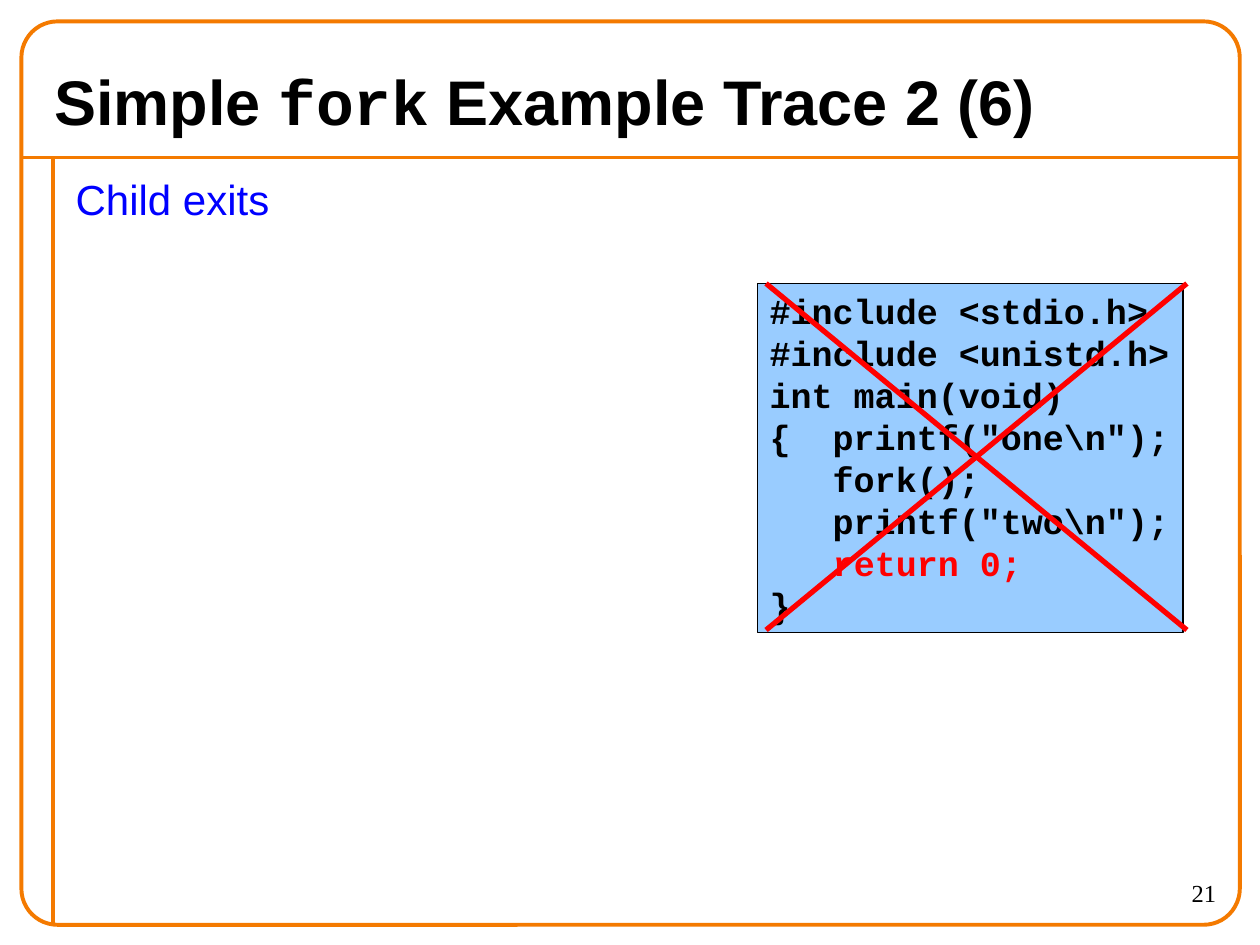
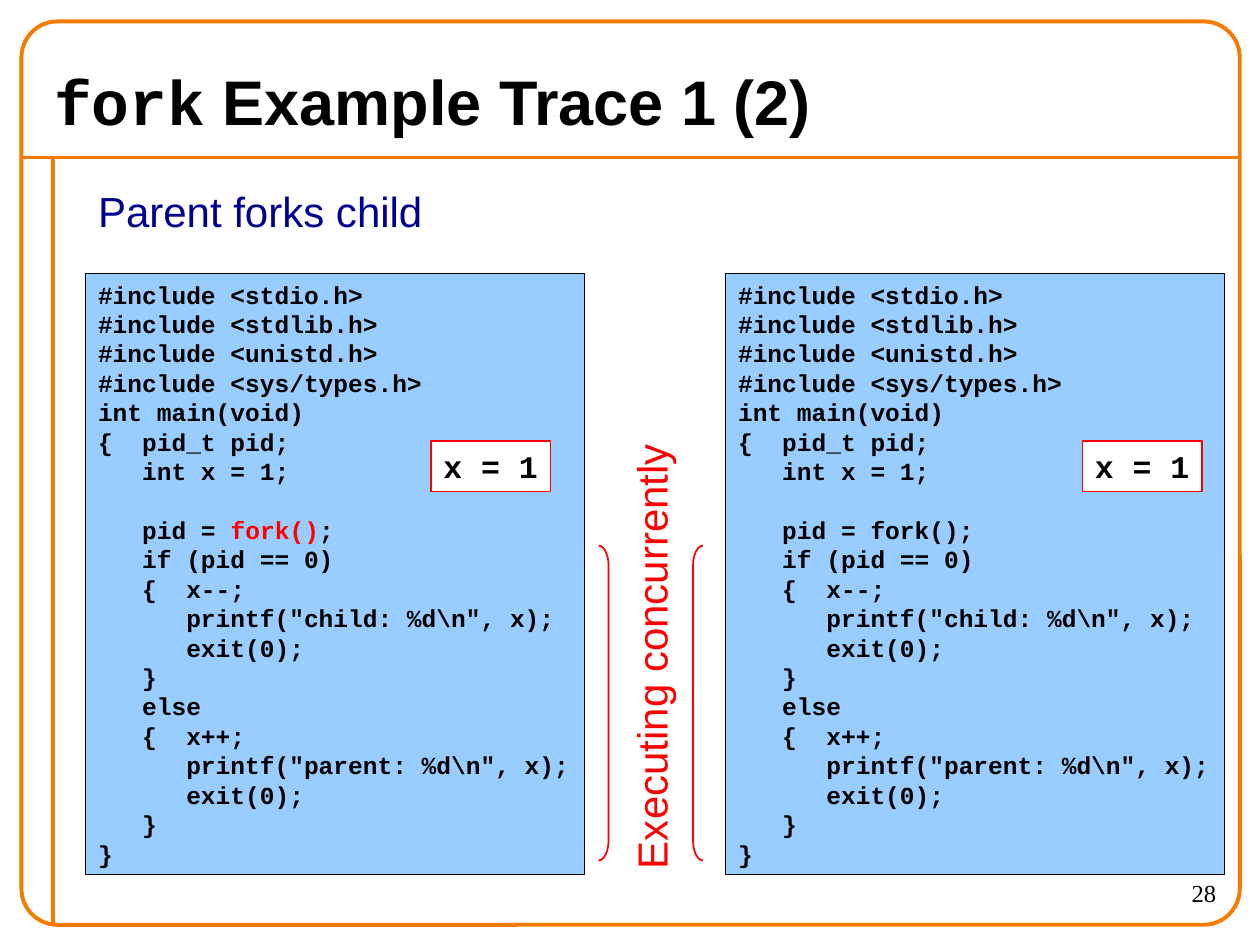
from lxml.etree import SubElement
from pptx import Presentation
from pptx.dml.color import RGBColor
from pptx.enum.shapes import MSO_CONNECTOR, MSO_SHAPE
from pptx.enum.text import MSO_ANCHOR, MSO_AUTO_SIZE, PP_ALIGN
from pptx.oxml.ns import qn
from pptx.util import Pt

PX = 9144
BLACK = RGBColor(0, 0, 0)
WHITE = RGBColor(255, 255, 255)
RED = RGBColor(255, 0, 0)
BLUE = RGBColor(0, 0, 255)
NAVY = RGBColor(0, 0, 0x90)
SKY = RGBColor(0x99, 0xCC, 0xFF)
ORANGE = RGBColor(0xF4, 0x7A, 0)
SANS, MONO, SERIF = "Arial", "Courier New", "Times New Roman"

SHORT = r'''#include <stdio.h>
#include <unistd.h>
int main(void)
{  printf("one\n");
   fork();
   printf("two\n");
   return 0;
}'''

LONG = r'''#include <stdio.h>
#include <stdlib.h>
#include <unistd.h>
#include <sys/types.h>
int main(void)
{  pid_t pid;
   int x = 1;

   pid = fork();
   if (pid == 0)
   {  x--;
      printf("child: %d\n", x);
      exit(0);
   }
   else
   {  x++;
      printf("parent: %d\n", x);
      exit(0);
   }
}'''

CROSS = [(608, 225, 942, 500), (942, 225, 608, 500)]
PANES = [(68, "fork()", 342), (576, None, 859)]
BRACKETS = [(MSO_SHAPE.LEFT_BRACKET, 550), (MSO_SHAPE.RIGHT_BRACKET, 475)]


def style(size, name=SANS, rgb=BLACK, bold=False):
    return {"size": Pt(size), "name": name, "rgb": rgb, "bold": bold}


def dress(font, fmt):
    for key, val in fmt.items():
        setattr(font.color if key == "rgb" else font, key, val)


def write(frame, text, fmt, hot=None, accent=None, align=PP_ALIGN.LEFT):
    for num, line in enumerate(text.split("\n")):
        para = frame.add_paragraph() if num else frame.paragraphs[0]
        para.alignment = align
        parts = line.partition(hot) if hot else (line,)
        for part in filter(None, parts):
            run = para.add_run()
            run.text = part
            dress(run.font, {**fmt, **accent} if part == hot else fmt)
        if not line:
            end = SubElement(para._p, qn("a:endParaRPr"))
            end.set("sz", str(int(fmt["size"].pt * 100)))


def place(shape, *box):
    for key, val in zip(("left", "top", "width", "height"), box):
        setattr(shape, key, val * PX)


def stroke(shape, rgb, width):
    shape.line.color.rgb = rgb
    shape.line.width = Pt(width)


def draw_line(slide, ends, rgb, width):
    line = slide.shapes.add_connector(
        MSO_CONNECTOR.STRAIGHT, *(n * PX for n in ends))
    stroke(line, rgb, width)
    SubElement(line.element.spPr, qn("a:effectLst"))
    return line


def draw_shape(slide, kind, box, rgb, width, fill=None):
    shape = slide.shapes.add_shape(kind, *(n * PX for n in box))
    shape.shadow.inherit = False
    stroke(shape, rgb, width)
    if fill is None:
        shape.fill.background()
    else:
        shape.fill.solid()
        shape.fill.fore_color.rgb = fill
    return shape


def draw_code(slide, box, text, size, edge=BLACK, fill=SKY, hot=None):
    shape = draw_shape(slide, MSO_SHAPE.RECTANGLE, box, edge, 0.75, fill)
    frame = shape.text_frame
    frame.word_wrap = False
    frame.auto_size = MSO_AUTO_SIZE.SHAPE_TO_FIT_TEXT
    frame.vertical_anchor = MSO_ANCHOR.TOP
    write(frame, text, style(size, MONO, bold=True), hot, {"rgb": RED})


def draw_text(slide, box, text, fmt, align=PP_ALIGN.LEFT):
    shape = slide.shapes.add_textbox(*(n * PX for n in box))
    shape.text_frame.word_wrap = True
    write(shape.text_frame, text, fmt, align=align)
    return shape


def add_frame(deck, slide):
    parts = [
        draw_line(slide, (17, 125, 983, 125), ORANGE, 2.25),
        draw_line(slide, (42, 125, 42, 733), ORANGE, 2.25),
        draw_shape(slide, MSO_SHAPE.ROUNDED_RECTANGLE,
                   (17, 17, 967, 717), ORANGE, 2.25),
    ]
    parts[-1].adjustments[0] = 0.04
    for num, part in enumerate(parts, 50):
        part.element.xpath(".//p:cNvPr")[0].set("id", str(num))
        deck.slide_master.shapes.element.append(part.element)


def add_slide(deck, layout, title, page):
    slide = deck.slides.add_slide(deck.slide_layouts[layout])
    head = slide.shapes.title
    place(head, 33, 42, 933, 75)
    head.text_frame.auto_size = MSO_AUTO_SIZE.NONE
    head.text_frame.vertical_anchor = MSO_ANCHOR.MIDDLE
    write(head.text_frame, title, style(36, bold=True), "fork", {"name": MONO})
    draw_text(slide, (875, 692, 100, 42), page, style(14, SERIF), PP_ALIGN.RIGHT)
    return slide


def add_exit(deck):
    slide = add_slide(deck, 1, "Simple fork Example Trace 2 (6)", "21")
    body = slide.placeholders[1]
    place(body, 50, 133, 925, 600)
    frame = body.text_frame
    frame.auto_size = MSO_AUTO_SIZE.NONE
    props = frame.paragraphs[0]._p.get_or_add_pPr()
    props.set("marL", "0")
    props.set("indent", "0")
    SubElement(props, qn("a:buNone"))
    frame.paragraphs[0].space_before = Pt(0)
    write(frame, "Child exits", style(24, rgb=BLUE))
    draw_code(slide, (601, 225, 338, 277), SHORT, 20, hot="return 0;")
    for ends in CROSS:
        draw_line(slide, ends, RED, 3)
    return slide


def add_fork(deck):
    slide = add_slide(deck, 5, "fork Example Trace 1 (2)", "28")
    for left, hot, tag in PANES:
        draw_code(slide, (left, 217, 396, 477), LONG, 14, hot=hot)
        draw_code(slide, (tag, 350, 95, 40), "x = 1", 18, RED, WHITE)
    for kind, left in BRACKETS:
        mark = draw_shape(slide, kind, (left, 433, 8, 250), RED, 1)
        mark.adjustments[0] = 2
    label = draw_text(slide, (329, 487, 375, 50), "Executing concurrently",
                      style(24, rgb=RED))
    label.rotation = 270
    draw_text(slide, (68, 142, 300, 50), "Parent forks child",
              style(24, rgb=NAVY))


def main():
    deck = Presentation()
    deck.slide_width, deck.slide_height = 1000 * PX, 750 * PX
    add_frame(deck, add_exit(deck))
    add_fork(deck)
    deck.save("out.pptx")


if __name__ == "__main__":
    main()
